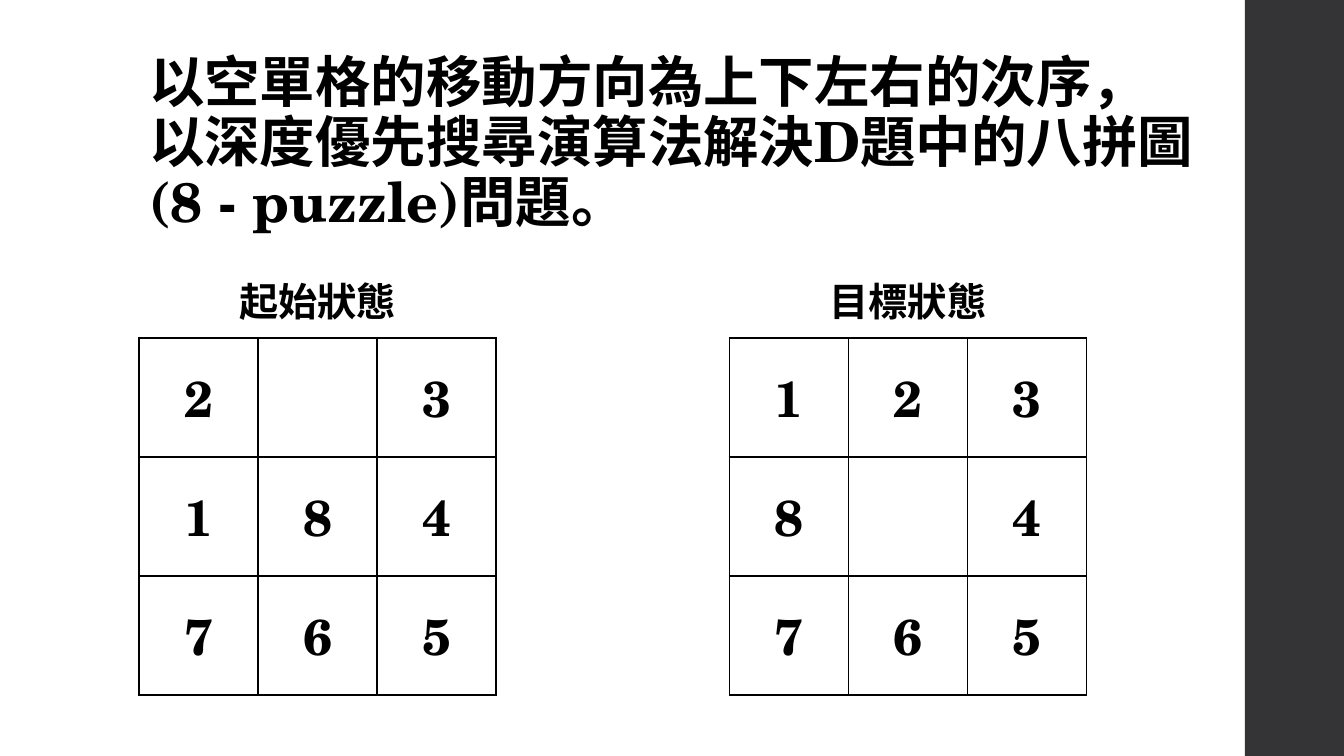
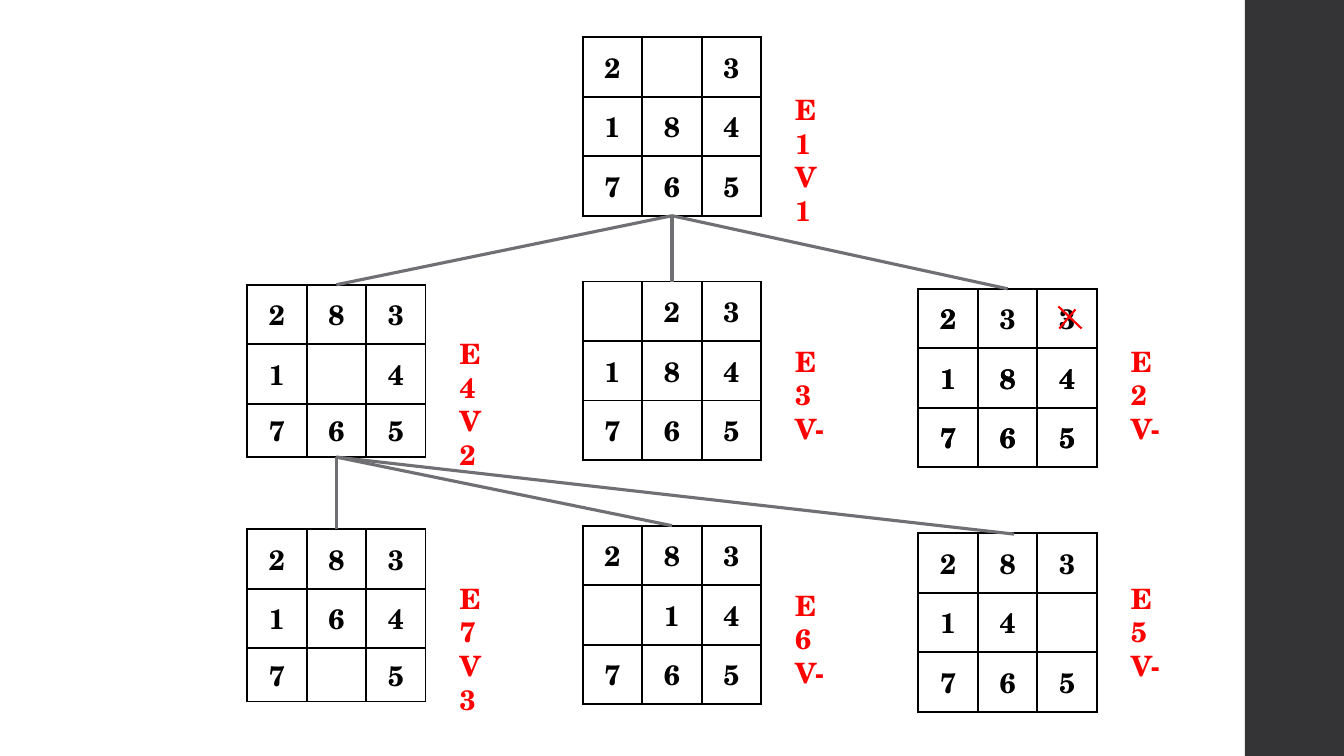
"""Build two slides on solving the 8-puzzle with depth-first search."""

from lxml import etree
from pptx import Presentation
from pptx.dml.color import RGBColor
from pptx.enum.shapes import MSO_CONNECTOR, MSO_SHAPE
from pptx.enum.text import MSO_ANCHOR, MSO_AUTO_SIZE, PP_ALIGN
from pptx.oxml import parse_xml
from pptx.oxml.ns import nsdecls, qn
from pptx.util import Pt

RECTANGLE = MSO_SHAPE.RECTANGLE
STRAIGHT = MSO_CONNECTOR.STRAIGHT
LEFT, CENTER = PP_ALIGN.LEFT, PP_ALIGN.CENTER
MIDDLE, BOTTOM = MSO_ANCHOR.MIDDLE, MSO_ANCHOR.BOTTOM
GROW, FIXED = MSO_AUTO_SIZE.SHAPE_TO_FIT_TEXT, MSO_AUTO_SIZE.NONE

BLACK = RGBColor(0x00, 0x00, 0x00)
RED = RGBColor(0xFF, 0x00, 0x00)
BRANCH_GRAY = RGBColor(0x6F, 0x6F, 0x74)
BAND_GRAY = RGBColor(0x34, 0x34, 0x37)
FONT = "TeX Gyre Schola"


def add_text(slide, lines, left, top, width, height, size, color=BLACK, align=LEFT):
    frame = slide.shapes.add_textbox(Pt(left), Pt(top), Pt(width), Pt(height)).text_frame
    frame.word_wrap = True
    frame.auto_size = GROW
    frame.text = "\n".join(lines)
    for paragraph in frame.paragraphs:
        paragraph.alignment = align
        paragraph.font.name = FONT
        paragraph.font.size = Pt(size)
        paragraph.font.bold = True
        paragraph.font.color.rgb = color
    return frame


def add_board(slide, rows, left, top, column_width, row_heights, size):
    board = slide.shapes.add_table(
        3, 3, Pt(left), Pt(top), Pt(3 * column_width), Pt(sum(row_heights))
    ).table
    for column in board.columns:
        column.width = Pt(column_width)
    for r, (tiles, height) in enumerate(zip(rows, row_heights)):
        board.rows[r].height = Pt(height)
        for c, tile in enumerate(tiles):
            cell = board.cell(r, c)
            properties = cell._tc.get_or_add_tcPr()
            for side in ("lnL", "lnR", "lnT", "lnB"):
                properties.append(parse_xml(
                    f'<a:{side} {nsdecls("a")} w="{Pt(1.5)}"><a:solidFill>'
                    f'<a:srgbClr val="{BLACK}"/></a:solidFill></a:{side}>'
                ))
            cell.fill.background()
            cell.vertical_anchor = MIDDLE
            cell.text = tile.strip()
            paragraph = cell.text_frame.paragraphs[0]
            paragraph.alignment = CENTER
            paragraph.font.name = FONT
            paragraph.font.size = Pt(size)
            paragraph.font.bold = True
            paragraph.font.color.rgb = BLACK


prs = Presentation()
prs.slide_width, prs.slide_height = Pt(960), Pt(540)
problem, search_tree = [prs.slides.add_slide(prs.slide_layouts[6]) for _ in range(2)]

for slide in (problem, search_tree):
    band = slide.shapes.add_shape(RECTANGLE, Pt(889.2), 0, Pt(72), Pt(540))
    band.width = prs.slide_width - band.left
    band.shadow.inherit = False
    band.fill.solid()
    band.fill.fore_color.rgb = BAND_GRAY
    band.line.fill.background()

title = add_text(
    problem,
    ["以空單格的移動方向為上下左右的次序，以深度優先搜尋演算法解決D題中的八拼圖(8 - puzzle)問題。"],
    99.4, 28.1, 763.2, 142.6, 39.6,
)
title.auto_size = FIXED
title.vertical_anchor = BOTTOM
title.paragraphs[0].line_spacing = 0.9

START = ("2 3", "184", "765")
GOAL = ("123", "8 4", "765")
for caption, rows, left in (("目標狀態", GOAL, 521.1), ("起始狀態", START, 99.4)):
    add_board(problem, rows, left, 241.2, 85, (85, 85, 85), 36)
    add_text(problem, [caption], left + 55.5, 194.4, 144, 41, 28, align=CENTER)

TILE = 42.5
SHORT_TILE = 38.1
FIRST_LEFT, COLUMN_STEP = 176.5, 239.75
LABEL_OFFSET = 144.7

states = {
    "E1": (1, 26.6, TILE, [START], 62.6, "V1"),
    "E4": (0, 203.4, SHORT_TILE, [("283", "1 4", "765")], 236.9, "V2"),
    "E3": (1, 201.1, TILE, [(" 23", "184", "765")], 242.2, "V-"),
    "E2": (2, 206.3, TILE, [START, ("23 ", "184", "765")], 242.2, "V-"),
    "E7": (0, 378, SHORT_TILE, [("283", "164", "7 5")], 411.6, "V3"),
    "E6": (1, 375.5, TILE, [("283", " 14", "765")], 416.5, "V-"),
    "E5": (2, 380.9, TILE, [("283", "14 ", "765")], 411.6, "V-"),
}
top_middle, bottom_middle = {}, {}
for expanded, (column, top, last_height, boards, label_top, visited) in states.items():
    left = FIRST_LEFT + column * COLUMN_STEP
    for rows in boards:
        add_board(search_tree, rows, left, top, TILE, (TILE, TILE, last_height), 20)
    label_width = 37.4 if visited == "V-" else 40.3
    add_text(search_tree, [expanded, visited], left + LABEL_OFFSET, label_top,
             label_width, 55.4, 20, RED)
    middle = left + 1.5 * TILE
    top_middle[expanded] = (middle, top)
    bottom_middle[expanded] = (middle, top + 2 * TILE + last_height)
top_middle["E5"] = (724.3, 381.5)

children = {"E1": ("E4", "E3", "E2"), "E4": ("E7", "E6", "E5")}
strokes = [
    (bottom_middle[parent], top_middle[child], BRANCH_GRAY, 2.25)
    for parent, branch in children.items()
    for child in branch
]
strokes += [
    ((756, 218.9), (772.6, 234.7), RED, 1.5),
    ((756.7, 234.7), (768.2, 221), RED, 1.5),
]
for start, end, color, width in strokes:
    stroke = search_tree.shapes.add_connector(STRAIGHT, *map(Pt, start + end))
    stroke.line.color.rgb = color
    stroke.line.width = Pt(width)
    etree.SubElement(stroke._element.spPr, qn("a:effectLst"))

prs.save("out.pptx")
